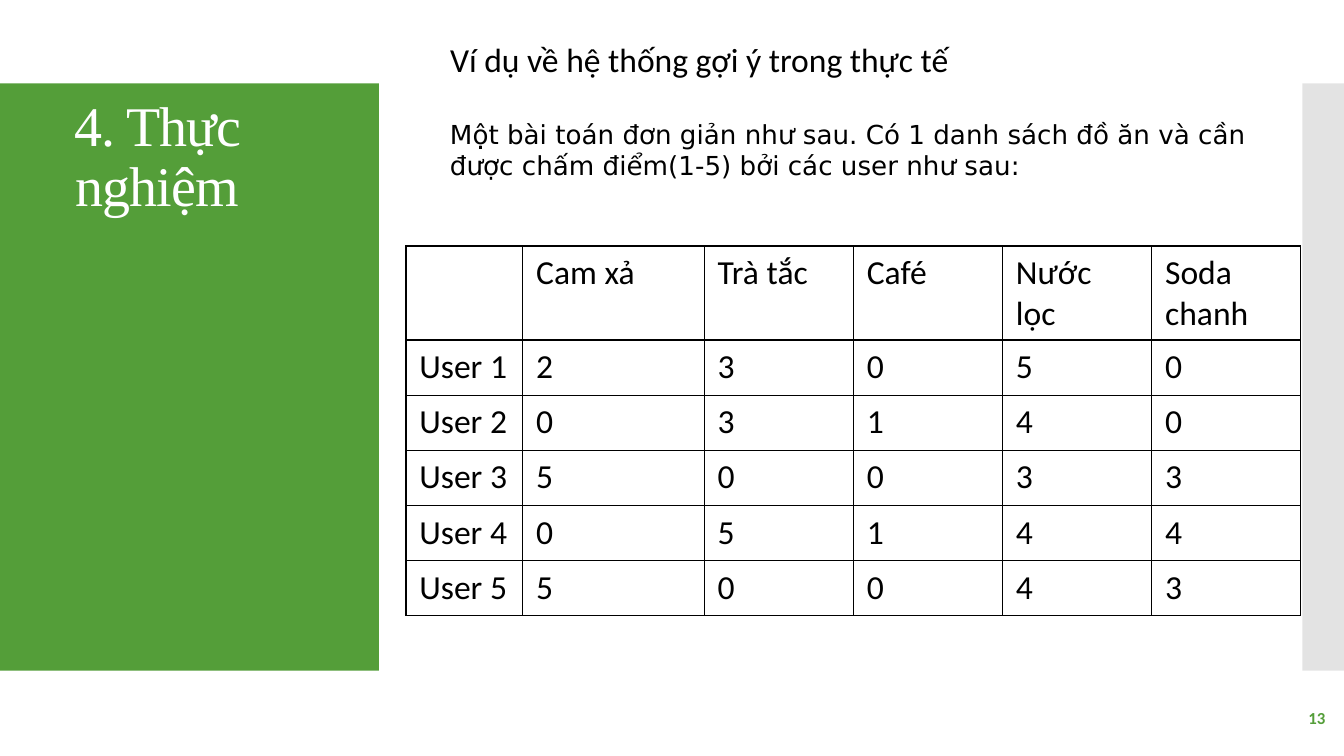
from pptx import Presentation
from pptx import util as u
from pptx.dml.color import RGBColor
from pptx.enum import shapes, text
from pptx.oxml import parse_xml
from pptx.oxml.ns import nsdecls, qn
from lxml import etree

GREEN, GREY, BLACK, WHITE = "549E39", "C8C8C8", "000000", "FFFFFF"
ALIGN = text.PP_ALIGN
BODY = {"name": "Calibri", "size": u.Pt(18)}
INSET = {f"margin_{side}": u.Inches(0.1) for side in ("left", "right", "top", "bottom")}
MENU = ["", "Cam xả", "Trà tắc", "Café", "Nước lọc", "Soda chanh"]
SCORES = [
    [2, 3, 0, 5, 0],
    [0, 3, 1, 4, 0],
    [5, 0, 0, 3, 3],
    [0, 5, 1, 4, 4],
    [5, 0, 0, 4, 3],
]


def color(code):
    return RGBColor.from_string(code)


def inches(box):
    return [u.Inches(n) for n in box]


def style(run, look, ink):
    for key, value in look.items():
        setattr(run.font, key, value)
    run.font.color.rgb = color(ink)


def block(slide, box, fill, alpha=None):
    shape = slide.shapes.add_shape(shapes.MSO_SHAPE.RECTANGLE, *inches(box))
    shape.shadow.inherit = False
    shape.line.fill.background()
    shape.fill.solid()
    shape.fill.fore_color.rgb = color(fill)
    if alpha:
        tint = shape.element.spPr.find(".//" + qn("a:srgbClr"))
        etree.SubElement(tint, qn("a:alpha")).set("val", str(alpha * 1000))


def label(slide, box, words, look, ink=BLACK, para={}, frame={}):
    area = slide.shapes.add_textbox(*inches(box)).text_frame
    for key, value in {"word_wrap": True, **frame}.items():
        setattr(area, key, value)
    line = area.paragraphs[0]
    for key, value in para.items():
        setattr(line, key, value)
    run = line.add_run()
    run.text = words
    style(run, look, ink)
    return run


def panel(slide, box):
    x, y, w, h = box
    block(slide, box, GREEN)
    run = label(slide, (x + 0.24, y + 0.01, 1.86, 2.41), "4. Thực nghiệm",
                {"name": "Times New Roman", "size": u.Pt(30)}, WHITE,
                {"alignment": ALIGN.CENTER, "line_spacing": 0.9}, INSET)
    run.font._element.set("spc", "-50")


def intro(slide, box):
    x, y, w, h = box
    label(slide, (x, y, 5.59, 0.4), "Ví dụ về hệ thống gợi ý trong thực tế", BODY)
    label(slide, (x, y + 0.59, w, 0.57),
          "Một bài toán đơn giản như sau. Có 1 danh sách đồ ăn và cần "
          "được chấm điểm(1-5) bởi các user như sau:",
          {"name": "DejaVu Sans", "size": u.Pt(14)})


def edge(cell):
    props = cell._tc.get_or_add_tcPr()
    for side in ("lnL", "lnR", "lnT", "lnB"):
        props.append(parse_xml(
            f'<a:{side} {nsdecls("a")} w="{u.Pt(0.75)}"><a:solidFill>'
            f'<a:srgbClr val="{BLACK}"/></a:solidFill></a:{side}>'))


def ratings(slide, box):
    rows = [MENU] + [[f"User {n}", *row] for n, row in enumerate(SCORES, 1)]
    grid = slide.shapes.add_table(len(rows), len(MENU), *inches(box)).table
    grid.first_row = grid.horz_banding = False
    for col, width in zip(grid.columns, [0.87, 1.35] + [1.11] * 4):
        col.width = u.Inches(width)
    for r, row in enumerate(rows):
        grid.rows[r].height = u.Inches(0.41)
        for c, value in enumerate(row):
            cell = grid.cell(r, c)
            edge(cell)
            cell.fill.background()
            if value != "":
                run = cell.text_frame.paragraphs[0].add_run()
                run.text = str(value)
                style(run, BODY, BLACK)


def number(slide, box):
    label(slide, box, "13", {"name": "Calibri", "size": u.Pt(9), "bold": True},
          GREEN, {"alignment": ALIGN.RIGHT}, INSET)


def main():
    deck = Presentation()
    deck.slide_width = u.Inches(10)
    deck.slide_height = deck.slide_width * 9 // 16
    slide = deck.slides.add_slide(deck.slide_layouts[6])
    panel(slide, (0, 0.62, 2.82, 4.37))
    block(slide, (9.69, 0.62, 0.32, 4.37), GREY, 50)
    number(slide, (9.36, 5.19, 0.6, 0.43))
    intro(slide, (3.25, 0.24, 6.2, 1.16))
    ratings(slide, (3.02, 1.83, 6.67, 2.46))
    deck.save("out.pptx")


if __name__ == "__main__":
    main()
